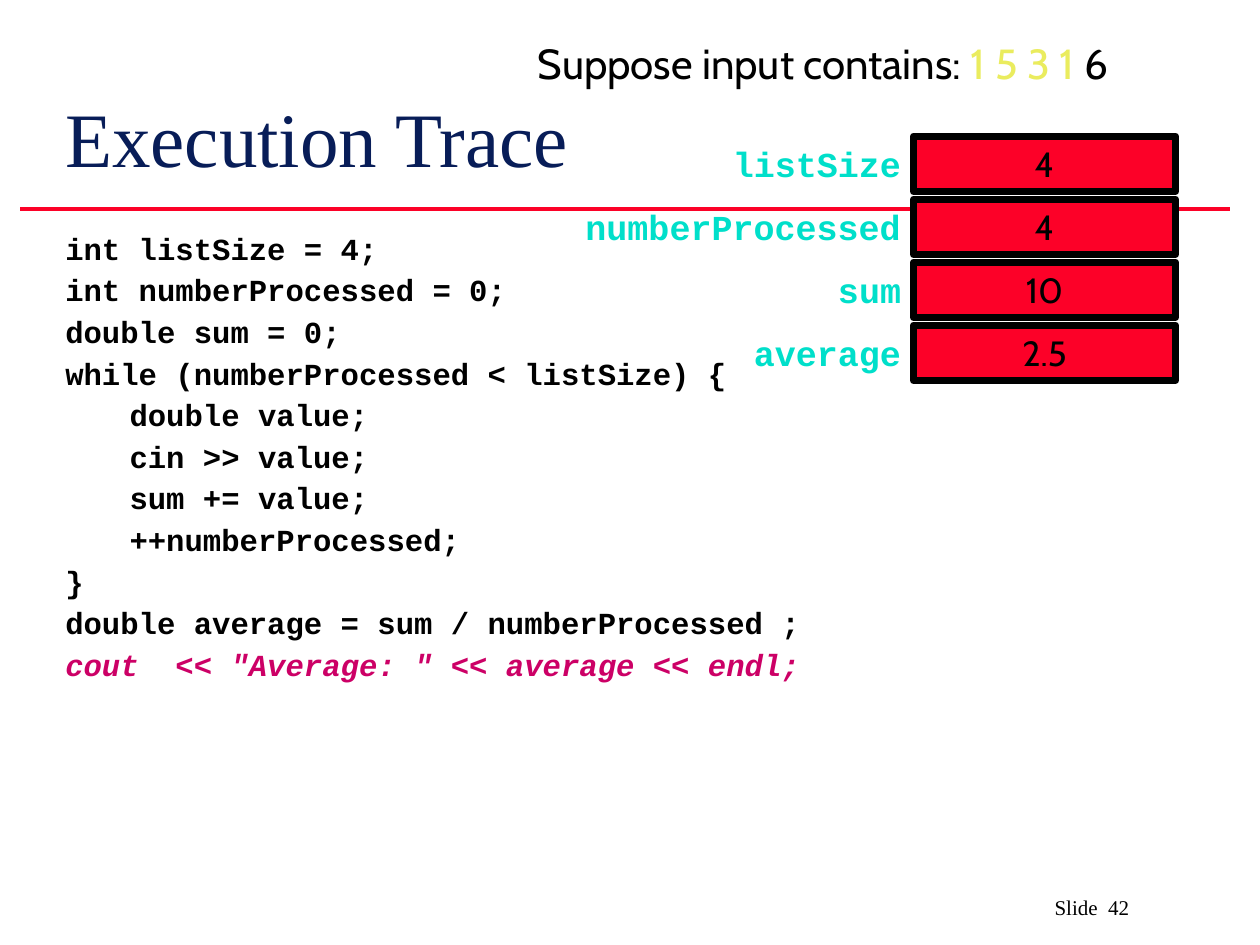
from lxml import etree
from pptx import Presentation
from pptx import util as u
from pptx.dml.color import RGBColor
from pptx.enum import shapes, text
from pptx.oxml.ns import qn

BLACK = RGBColor(0x00, 0x00, 0x00)
RED = RGBColor(0xFC, 0x01, 0x28)
NAVY = RGBColor(0x08, 0x1D, 0x58)
TEAL = RGBColor(0x00, 0xDF, 0xCA)
YELLOW = RGBColor(0xEA, 0xEC, 0x5E)
MAGENTA = RGBColor(0xCC, 0x00, 0x66)
SERIF, MONO, SANS = "Times New Roman", "Courier New", "Cabin"
ALIGN = text.PP_ALIGN


def add_run(paragraph, words, font=SANS, size=20, color=BLACK, bold=False, italic=False):
    run = paragraph.add_run()
    run.text = words
    run.font.name = font
    run.font.size = u.Pt(size)
    run.font.color.rgb = color
    run.font.bold = bold
    run.font.italic = italic


class TraceSlide:
    def __init__(self, slide):
        self.slide = slide

    def frame(self, shape, align=ALIGN.LEFT, anchor=text.MSO_ANCHOR.TOP):
        frame = shape.text_frame
        frame.word_wrap = True
        frame.vertical_anchor = anchor
        frame.paragraphs[0].alignment = align
        return frame

    def text_box(self, left, top, width, height, **layout):
        box = self.slide.shapes.add_textbox(*map(u.Inches, (left, top, width, height)))
        return self.frame(box, **layout)

    def value_box(self, left, top, width, height, value):
        box = self.slide.shapes.add_shape(
            shapes.MSO_SHAPE.RECTANGLE, *map(u.Inches, (left, top, width, height)))
        box.shadow.inherit = False
        box.fill.solid()
        box.fill.fore_color.rgb = RED
        box.line.color.rgb = BLACK
        box.line.width = u.Pt(4)
        add_run(self.frame(box, align=ALIGN.CENTER).paragraphs[0], value)

    def rule(self, left, right, y):
        line = self.slide.shapes.add_connector(
            shapes.MSO_CONNECTOR.STRAIGHT, *map(u.Inches, (left, y, right, y)))
        line.line.color.rgb = RED
        line.line.width = u.Pt(2)
        etree.SubElement(line._element.spPr, qn("a:effectLst"))

    def code(self, frame, lines):
        for number, (indent, words, style) in enumerate(lines):
            paragraph = frame.add_paragraph() if number else frame.paragraphs[0]
            paragraph.line_spacing = 0.8
            paragraph.space_before = u.Pt(7)
            paragraph._p.get_or_add_pPr().set("marL", str(u.Inches(0.51 * indent)))
            add_run(paragraph, words, font=MONO, size=17.5, bold=True, **style)


CODE = [
    (0, "int listSize = 4;", {}),
    (0, "int numberProcessed = 0;", {}),
    (0, "double sum = 0;", {}),
    (0, "while (numberProcessed < listSize) {", {}),
    (1, "double value;", {}),
    (1, "cin >> value;", {}),
    (1, "sum += value;", {}),
    (1, "++numberProcessed;", {}),
    (0, "}", {}),
    (0, "double average = sum / numberProcessed ;", {}),
    (0, 'cout  << "Average: " << average << endl;', {"color": MAGENTA, "italic": True}),
]
# name, value, width of the name's box
VARIABLES = [
    ("listSize", "4", 1.92),
    ("numberProcessed", "4", 2.92),
    ("sum", "10", 1.42),
    ("average", "2.5", 1.42),
]


def main():
    prs = Presentation()
    prs.slide_width, prs.slide_height = u.Inches(10), u.Inches(7.5)
    trace = TraceSlide(prs.slides.add_slide(prs.slide_layouts[6]))

    # Footer and rule
    footer = trace.text_box(0.23, 7.05, 9.37, 0.3)
    footer.margin_left = u.Inches(8.14)
    add_run(footer.paragraphs[0], "Slide  42", font=SERIF, size=12)
    trace.rule(0.16, 9.76, 1.66)

    # Title
    title = trace.text_box(0.42, 0.29, 9.08, 1.21, anchor=text.MSO_ANCHOR.BOTTOM)
    add_run(title.paragraphs[0], "Execution Trace", font=SERIF, size=44, color=NAVY)

    # Program
    trace.code(trace.text_box(0.42, 1.83, 9.17, 4.5), CODE)

    # Input, with the values already read in yellow
    supplied = trace.text_box(4.17, 0.25, 5.58, 0.5).paragraphs[0]
    for words, color in (("Suppose input contains: ", BLACK), ("1 5 3 1", YELLOW), (" 6", BLACK)):
        add_run(supplied, words, size=24, color=color)

    # Variables and their current values
    value_left, first_top, pitch, height = 7.25, 1.08, 0.5, 0.44
    for row, (name, value, name_width) in enumerate(VARIABLES):
        top = first_top + row * pitch
        label = trace.text_box(value_left - name_width, top, name_width, height, align=ALIGN.RIGHT)
        add_run(label.paragraphs[0], name, font=MONO, color=TEAL, bold=True)
        trace.value_box(value_left, top, 2.08, height, value)

    prs.save("out.pptx")


if __name__ == "__main__":
    main()
